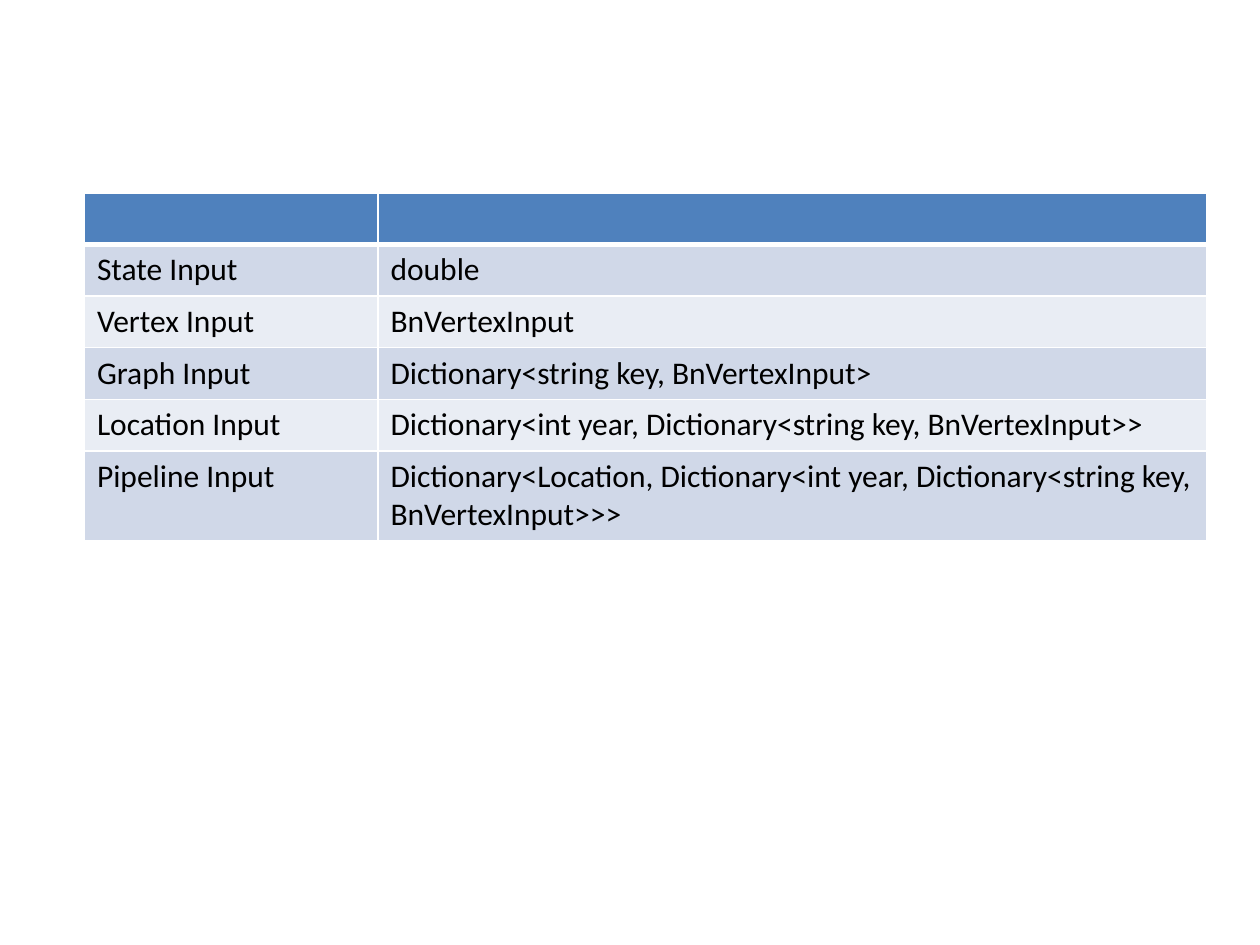
from lxml.etree import SubElement
from pptx import Presentation
from pptx.dml.color import RGBColor
from pptx.oxml.ns import qn
from pptx.util import Inches, Pt


def color(value):
    return RGBColor.from_string(value)


class TablePage:
    font = "Calibri"
    size = 18
    ink = "000000"
    border = "FFFFFF"
    header = "4F81BD"
    bands = ("D0D8E8", "E9EDF4")

    def __init__(self, deck):
        self.page = deck.slides.add_slide(deck.slide_layouts[6])

    def add_borders(self, cell, widths):
        """Draw the left, right, top and bottom edges, in points."""
        props = cell._tc.get_or_add_tcPr()
        for side, width in zip("LRTB", widths):
            line = SubElement(props, qn(f"a:ln{side}"), w=str(Pt(width)))
            fill = SubElement(line, qn("a:solidFill"))
            SubElement(fill, qn("a:srgbClr"), val=self.border)

    def add_text(self, cell, text):
        para = cell.text_frame.paragraphs[0]
        para.font.size = Pt(self.size)
        if not text:
            return
        run = para.add_run()
        run.text = text
        run.font.name = self.font
        run.font.size = Pt(self.size)
        run.font.bold = False
        run.font.color.rgb = color(self.ink)

    def add_table(self, left, top, widths, row_height, rows):
        table = self.page.shapes.add_table(
            len(rows), len(widths), Inches(left), Inches(top),
            Inches(sum(widths)), Inches(row_height * len(rows))).table
        for column, width in zip(table.columns, widths):
            column.width = Inches(width)
        for index, row in enumerate(rows):
            # Header first, then alternating bands; a thick rule divides them
            shade = self.bands[(index - 1) % 2] if index else self.header
            edges = (1, 1, 3 if index == 1 else 1, 3 if index == 0 else 1)
            for cell, text in zip(table.rows[index].cells, row):
                self.add_borders(cell, edges)
                cell.fill.solid()
                cell.fill.fore_color.rgb = color(shade)
                self.add_text(cell, text)


def main():
    deck = Presentation()
    deck.slide_width, deck.slide_height = Inches(10), Inches(7.5)

    # Input types, from the simplest to the most nested
    vertex = "BnVertexInput"
    graph = f"Dictionary<string key, {vertex}>"
    location = f"Dictionary<int year, {graph}>"
    pipeline = f"Dictionary<Location, {location}>"
    rows = [
        ("", ""),
        ("State Input", "double"),
        ("Vertex Input", vertex),
        ("Graph Input", graph),
        ("Location Input", location),
        ("Pipeline Input", pipeline),
    ]
    TablePage(deck).add_table(0.67, 1.53, (2.33, 6.58), 0.41, rows)

    deck.save("out.pptx")


if __name__ == "__main__":
    main()
